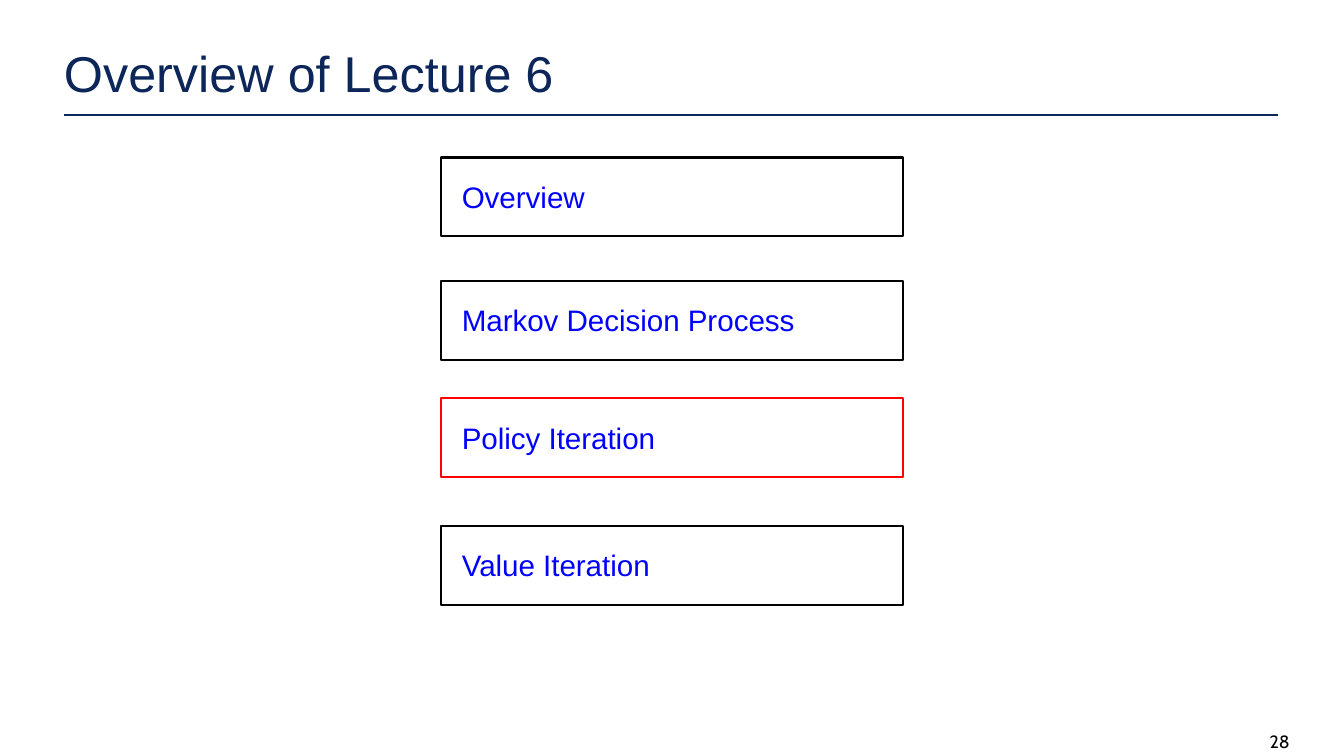
from pptx import Presentation
from pptx.dml.color import RGBColor
from pptx.enum.shapes import MSO_CONNECTOR as Connector, MSO_SHAPE as Shape
from pptx.enum.text import MSO_ANCHOR as Anchor, PP_ALIGN as Align
from pptx.oxml.ns import qn
from pptx.util import Inches, Pt
from lxml.etree import SubElement

COLORS = {
    "navy": "0C2659",
    "black": "000000",
    "red": "FF0000",
    "blue": "0000FF",
}


class LectureSlide:
    """Holds the lecture style and the slide being filled."""

    font = "Arial"
    line_width = Pt(0.75)

    def __init__(self, deck):
        self.page = deck.slides.add_slide(deck.slide_layouts[5])

    def color(self, name):
        return RGBColor.from_string(COLORS[name])

    def add_text(self, shape, text, size, color, insets, font=None, spacing=None):
        frame = shape.text_frame
        frame.word_wrap = True
        frame.vertical_anchor = Anchor.TOP
        (frame.margin_left, frame.margin_top,
         frame.margin_right, frame.margin_bottom) = map(Inches, insets)
        para = frame.paragraphs[0]
        para.alignment = Align.LEFT
        if spacing:
            para.line_spacing = spacing
        span = para.add_run()
        span.text = text
        span.font.name = font or self.font
        span.font.size = Pt(size)
        span.font.color.rgb = self.color(color)

    def title(self, text, left, top, width, height):
        title = self.page.shapes.title
        title.left, title.top = Inches(left), Inches(top)
        title.width, title.height = Inches(width), Inches(height)
        self.add_text(title, text, 17, "navy", (0.01, 0.02, 0, 0))

    def rule(self, left, right, top):
        line = self.page.shapes.add_connector(
            Connector.STRAIGHT, Inches(left), Inches(top), Inches(right), Inches(top))
        line.line.color.rgb = self.color("navy")
        line.line.width = self.line_width
        SubElement(line._element.spPr, qn("a:effectLst"))

    def topic_box(self, text, left, top, width, height, outline):
        box = self.page.shapes.add_shape(
            Shape.RECTANGLE, Inches(left), Inches(top), Inches(width), Inches(height))
        box.shadow.inherit = False
        box.fill.background()
        box.line.color.rgb = self.color(outline)
        box.line.width = self.line_width
        self.add_text(box, text, 10, "blue", (0.1,) * 4)

    def page_number(self, text, left, top, width, height):
        box = self.page.shapes.add_textbox(
            Inches(left), Inches(top), Inches(width), Inches(height))
        self.add_text(box, text, 6, "black", (0.04, 0, 0, 0), font="Cabin", spacing=1.12)


def main():
    deck = Presentation()
    deck.slide_width, deck.slide_height = Inches(6.31), Inches(3.55)
    slide = LectureSlide(deck)

    # Heading
    slide.title("Overview of Lecture 6", 0.29, 0.18, 4.21, 0.3)
    slide.rule(0.3, 6, 0.54)

    # Lecture topics, with the current one outlined in red
    topics = [
        ("Overview", 0.74),
        ("Markov Decision Process", 1.32),
        ("Policy Iteration", 1.87),
        ("Value Iteration", 2.47),
    ]
    current = "Policy Iteration"
    for topic, top in topics:
        outline = "red" if topic == current else "black"
        slide.topic_box(topic, 2.07, top, 2.17, 0.37, outline)

    # Footer
    slide.page_number("28", 5.92, 3.42, 0.31, 0.1)

    deck.save("out.pptx")


if __name__ == "__main__":
    main()
